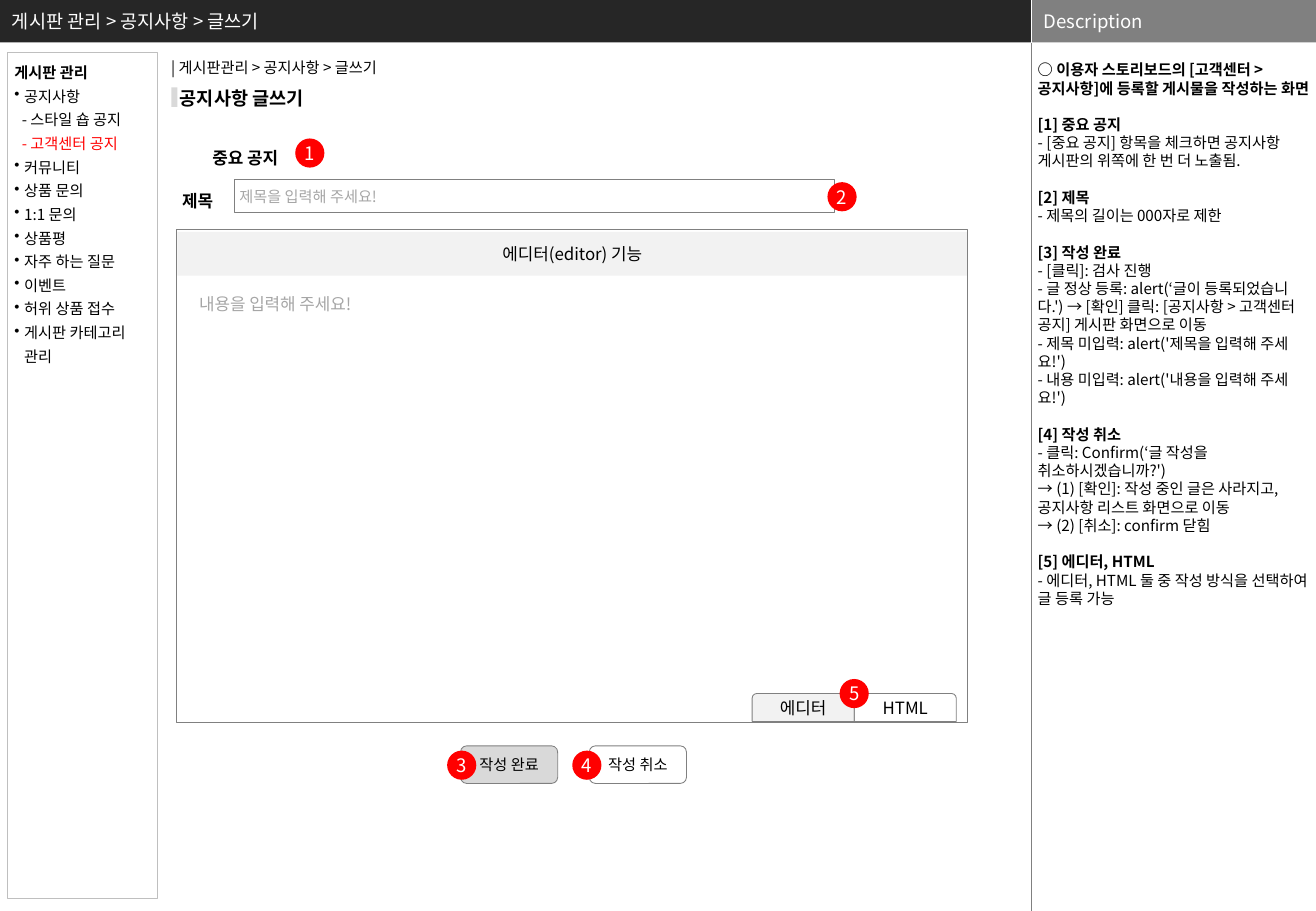
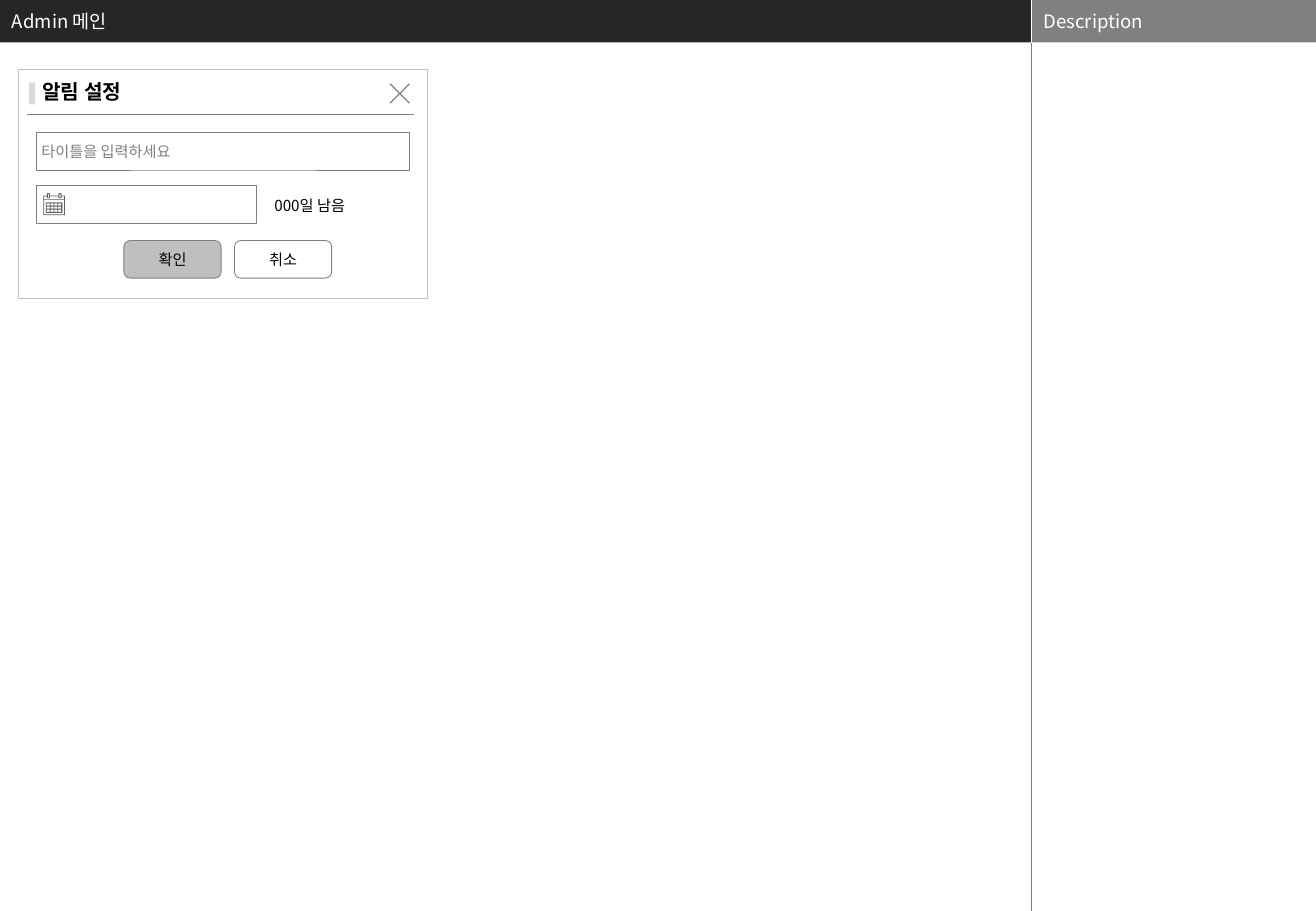
import dataclasses

import pptx
import pptx.dml.color
import pptx.enum.shapes
import pptx.enum.text
import pptx.oxml.ns
import pptx.util
from lxml import etree


@dataclasses.dataclass(frozen=True)
class Theme:
    font: str = "Noto Sans CJK KR"
    black: str = "000000"
    white: str = "FFFFFF"
    band: str = "262626"
    gray: str = "808080"
    border: str = "BFBFBF"
    bar: str = "D9D9D9"
    pale: str = "F2F2F2"
    hint: str = "A6A6A6"
    icon: str = "5F5F5F"
    red: str = "FF0000"
    small: int = 9
    medium: int = 10
    large: int = 11
    popup: int = 12
    hairline: float = 0.25
    thin: float = 0.5
    edge: float = 0.75
    leading: float = 1.2


T = Theme()
RGB = pptx.dml.color.RGBColor.from_string
KIND = pptx.enum.shapes.MSO_SHAPE
ALIGN = pptx.enum.text.PP_ALIGN
ANCHOR = pptx.enum.text.MSO_ANCHOR
qn = pptx.oxml.ns.qn

# The grid has 1083 columns and 750 rows of square cells.
COLS, ROWS = 1083, 750
CELL = pptx.util.Inches(0.01)
SPLIT = 849      # column where the description panel starts
BAND = 35        # rows of the header band
FIELD = (4, 4, 4, 4)
FLUSH = (0, 0, 0, 0)


def box(shapes, at, text="", kind=KIND.RECTANGLE, fill=None, line=None, weight=T.thin,
        size=T.small, color=T.black, bold=False, align=ALIGN.LEFT, anchor=ANCHOR.MIDDLE,
        ins=(10, 5, 10, 5), leading=T.leading):
    """Add a shape, or a text box when kind is None; at and ins are in grid cells."""
    place = [round(v * CELL) for v in at]
    if kind is None:
        sp = shapes.add_textbox(*place)
    else:
        sp = shapes.add_shape(kind, *place)
        sp.shadow.inherit = False
    if fill:
        sp.fill.solid()
        sp.fill.fore_color.rgb = RGB(fill)
    else:
        sp.fill.background()
    if line:
        sp.line.color.rgb = RGB(line)
        sp.line.width = pptx.util.Pt(weight)
    else:
        sp.line.fill.background()
    tf = sp.text_frame
    tf.word_wrap = True
    tf.vertical_anchor = anchor
    tf.margin_left, tf.margin_top, tf.margin_right, tf.margin_bottom = [v * CELL for v in ins]
    tf.text = text
    for p in tf.paragraphs:
        p.alignment = align
        p.line_spacing = pptx.util.Pt(round(size * leading, 1))
        for r in p.runs:
            r.font.name, r.font.size, r.font.bold = T.font, pptx.util.Pt(size), bold
            r.font.color.rgb = RGB(color)
            etree.SubElement(r.font._element, qn("a:ea")).set("typeface", T.font)
    return sp


def rule(shapes, x1, y1, x2, y2, color, weight):
    ln = shapes.add_connector(pptx.enum.shapes.MSO_CONNECTOR.STRAIGHT,
                              *[v * CELL for v in (x1, y1, x2, y2)])
    ln.line.color.rgb = RGB(color)
    ln.line.width = pptx.util.Pt(weight)
    etree.SubElement(ln._element.spPr, qn("a:effectLst"))


prs = pptx.Presentation()
prs.slide_width, prs.slide_height = COLS * CELL, ROWS * CELL

# Shared frame: header band, description panel
pages = []
for title in ("게시판 관리 > 공지사항 > 글쓰기", "Admin 메인"):
    s = prs.slides.add_slide(prs.slide_layouts[6])
    box(s.shapes, (0, 0, SPLIT, BAND), title, fill=T.band, size=T.large, color=T.white)
    box(s.shapes, (SPLIT, 0, COLS - SPLIT, BAND), "Description", fill=T.gray,
        size=T.large, color=T.white)
    rule(s.shapes, SPLIT, 0, SPLIT, BAND, T.white, T.hairline)
    rule(s.shapes, SPLIT, BAND, SPLIT, ROWS, T.gray, T.hairline)
    pages.append(s.shapes)
write_page, alarm_page = pages

# Slide 1: description text, with a gap of one line above each heading
description = """○ 이용자 스토리보드의 [고객센터 > 공지사항]에 등록할 게시물을 작성하는 화면
[1] 중요 공지
- [중요 공지] 항목을 체크하면 공지사항 게시판의 위쪽에 한 번 더 노출됨.
[2] 제목
- 제목의 길이는 000자로 제한
[3] 작성 완료
- [클릭]: 검사 진행
- 글 정상 등록: alert(‘글이 등록되었습니다.') → [확인] 클릭: [공지사항 > 고객센터 공지] 게시판 화면으로 이동
- 제목 미입력: alert('제목을 입력해 주세요!')
- 내용 미입력: alert('내용을 입력해 주세요!')
[4] 작성 취소
- 클릭: Confirm(‘글 작성을 취소하시겠습니까?')
→ (1) [확인]: 작성 중인 글은 사라지고, 공지사항 리스트 화면으로 이동
→ (2) [취소]: confirm 닫힘
[5] 에디터, HTML
- 에디터, HTML 둘 중 작성 방식을 선택하여 글 등록 가능"""
sp = box(write_page, (850, 50, 233, 700), description, kind=None, anchor=ANCHOR.TOP,
         ins=(4, 0, 4, 0))
for p in sp.text_frame.paragraphs:
    heading = p.text.startswith("[")
    if heading:
        p.space_before = pptx.util.Pt(T.small * T.leading)
    for r in p.runs:
        r.font.bold = heading or p.text.startswith("○")

# Slide 1: side menu
menu = """게시판 관리
공지사항
- 스타일 숍 공지
- 고객센터 공지
커뮤니티
상품 문의
1:1 문의
상품평
자주 하는 질문
이벤트
허위 상품 접수
게시판 카테고리
관리"""
sp = box(write_page, (6, 43, 124, 697), menu, line=T.border, weight=T.edge,
         anchor=ANCHOR.TOP, ins=(6, 5, 0, 5), leading=14 / T.small)
head, *items = sp.text_frame.paragraphs
head.runs[0].font.bold = True
for p in items:
    pPr = p._p.get_or_add_pPr()
    if p.text.startswith("-"):
        pPr.set("marL", str(6 * CELL))
    else:
        pPr.set("marL", str(8 * CELL))
        if p is not items[-1]:
            pPr.set("indent", str(-8 * CELL))
            etree.SubElement(pPr, qn("a:buChar")).set("char", "•")
items[2].runs[0].font.color.rgb = RGB(T.red)

# Slide 1: page heading and form
box(write_page, (131, 43, 214, 25), "| 게시판관리 > 공지사항 > 글쓰기", kind=None)
box(write_page, (148, 71, 113, 19), "공지사항 글쓰기", kind=None, size=T.large, bold=True, ins=FLUSH)
box(write_page, (141, 72, 5, 16), fill=T.bar)
for x, y, w, label in ((165, 108, 81, "중요 공지"), (140, 144, 48, "제목")):
    box(write_page, (x, y, w, 32), label, kind=None, size=T.medium, bold=True,
        anchor=ANCHOR.TOP, leading=1.5 * T.leading)
box(write_page, (193, 148, 494, 27), "제목을 입력해 주세요!", line=T.gray, color=T.hint, ins=FIELD)

# Slide 1: editor
box(write_page, (146, 191, 650, 36), "에디터(editor) 기능", fill=T.pale, size=T.medium,
    align=ALIGN.CENTER, ins=FIELD)
box(write_page, (145, 189, 651, 406), line=T.gray)
box(write_page, (154, 237, 160, 27), "내용을 입력해 주세요!", kind=None, size=T.medium, color=T.hint)
for i, (label, fill) in enumerate((("에디터", T.pale), ("HTML", None))):
    box(write_page, (619 + 84 * i, 571, 84, 23), label, kind=KIND.ROUND_2_SAME_RECTANGLE,
        fill=fill, line=T.gray, size=T.medium, align=ALIGN.CENTER, ins=FIELD)

# Slide 2: alarm popup
popup = alarm_page.add_group_shape().shapes
box(popup, (15, 57, 337, 189), fill=T.white, line=T.border, weight=T.edge)
box(popup, (25, 60, 99, 30), "알림 설정", kind=None, size=T.popup, bold=True)
box(popup, (24, 68, 5, 18), fill=T.bar)
rule(popup, 22, 94, 341, 94, T.gray, T.thin)
box(popup, (30, 109, 307, 31), "타이틀을 입력하세요", line=T.gray, color=T.gray, ins=FIELD)
box(popup, (30, 153, 181, 31), line=T.gray)
box(popup, (216, 157, 90, 25), "000일 남음", kind=None)

# Close mark and calendar outlines are drawn in tenths of a cell
fb = popup.build_freeform(3370, 690, scale=CELL / 10)
fb.add_line_segments([(3210, 850)], close=False)
fb.move_to(3210, 690)
fb.add_line_segments([(3370, 850)], close=False)
close_mark = fb.convert_to_shape()
close_mark.shadow.inherit = False
close_mark.fill.background()
close_mark.line.color.rgb = RGB(T.gray)
close_mark.line.width = pptx.util.Pt(T.edge)

outlines = [(358, 1610, 176, 162), (364, 1617, 164, 24), (364, 1647, 164, 118), (377, 1667, 136, 86)]
outlines += [(385 + 31 * col, 1675 + 26 * row, 25, 18) for row in range(3) for col in range(4)]
fb = popup.build_freeform(*outlines[0][:2], scale=CELL / 10)
for x, y, w, h in outlines:
    fb.move_to(x, y)
    fb.add_line_segments([(x + w, y), (x + w, y + h), (x, y + h)], close=True)
calendar = fb.convert_to_shape()
calendar.shadow.inherit = False
calendar.fill.solid()
calendar.fill.fore_color.rgb = RGB(T.icon)
calendar.line.fill.background()
for x in (39, 48.5):
    box(popup, (x, 159.5, 1.8, 3.3), kind=KIND.ROUNDED_RECTANGLE, fill=T.white,
        line=T.icon, weight=T.thin)

# Buttons of both slides
for shapes, x, y, label, fill in (
        (write_page, 379, 614, "작성 완료", T.bar), (write_page, 485, 614, "작성 취소", T.white),
        (popup, 102, 198, "확인", T.border), (popup, 193, 198, "취소", T.white)):
    box(shapes, (x, y, 80, 31), label, kind=KIND.ROUNDED_RECTANGLE, fill=fill, line=T.gray,
        align=ALIGN.CENTER)

# Slide 1: numbered markers
markers = ((243, 114), (681, 150), (368, 618), (471, 618), (691, 559))
for number, (x, y) in enumerate(markers, 1):
    box(write_page, (x, y, 24, 24), str(number), kind=KIND.OVAL, fill=T.red, size=T.large,
        color=T.white, align=ALIGN.CENTER, ins=FLUSH)

prs.save("out.pptx")
